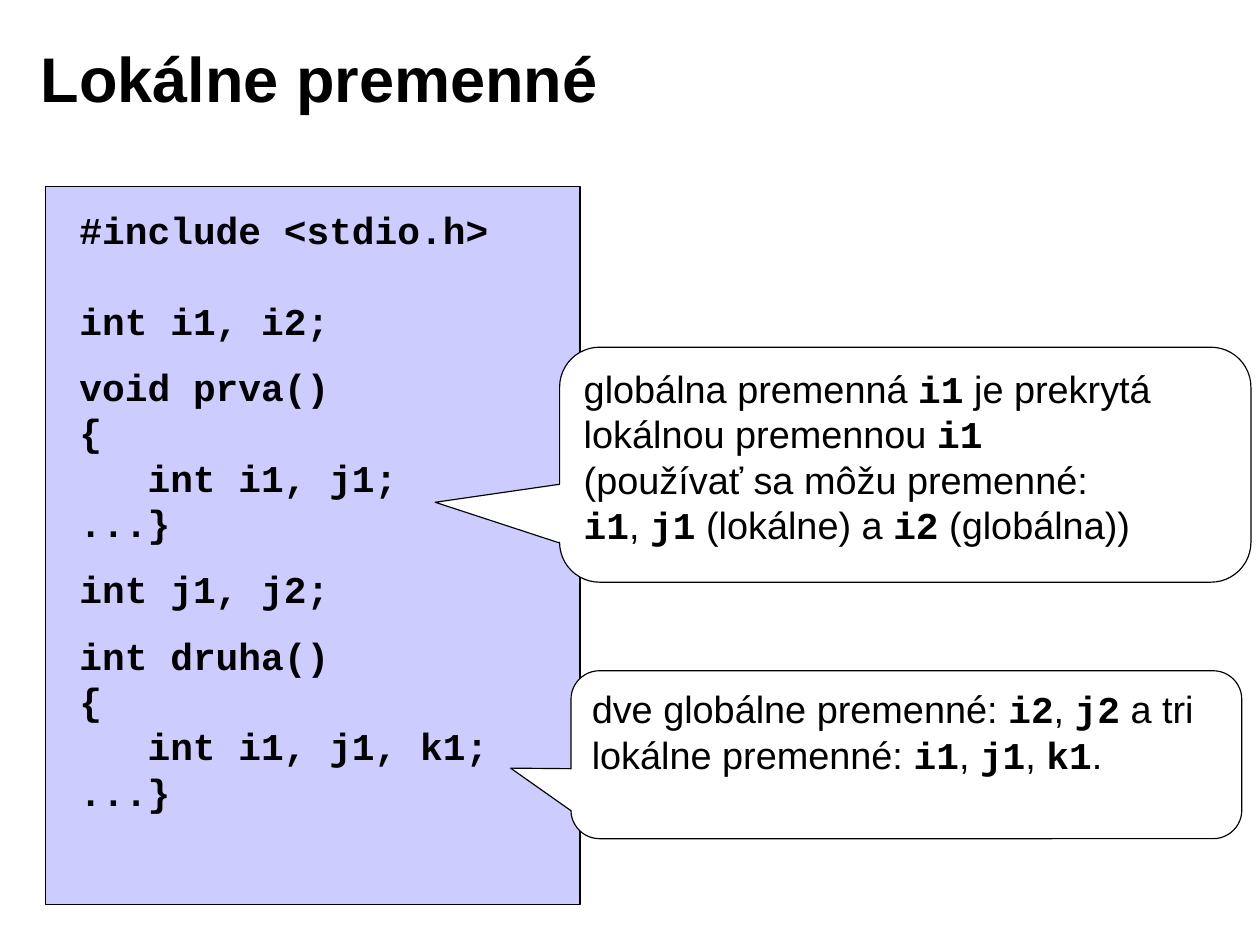
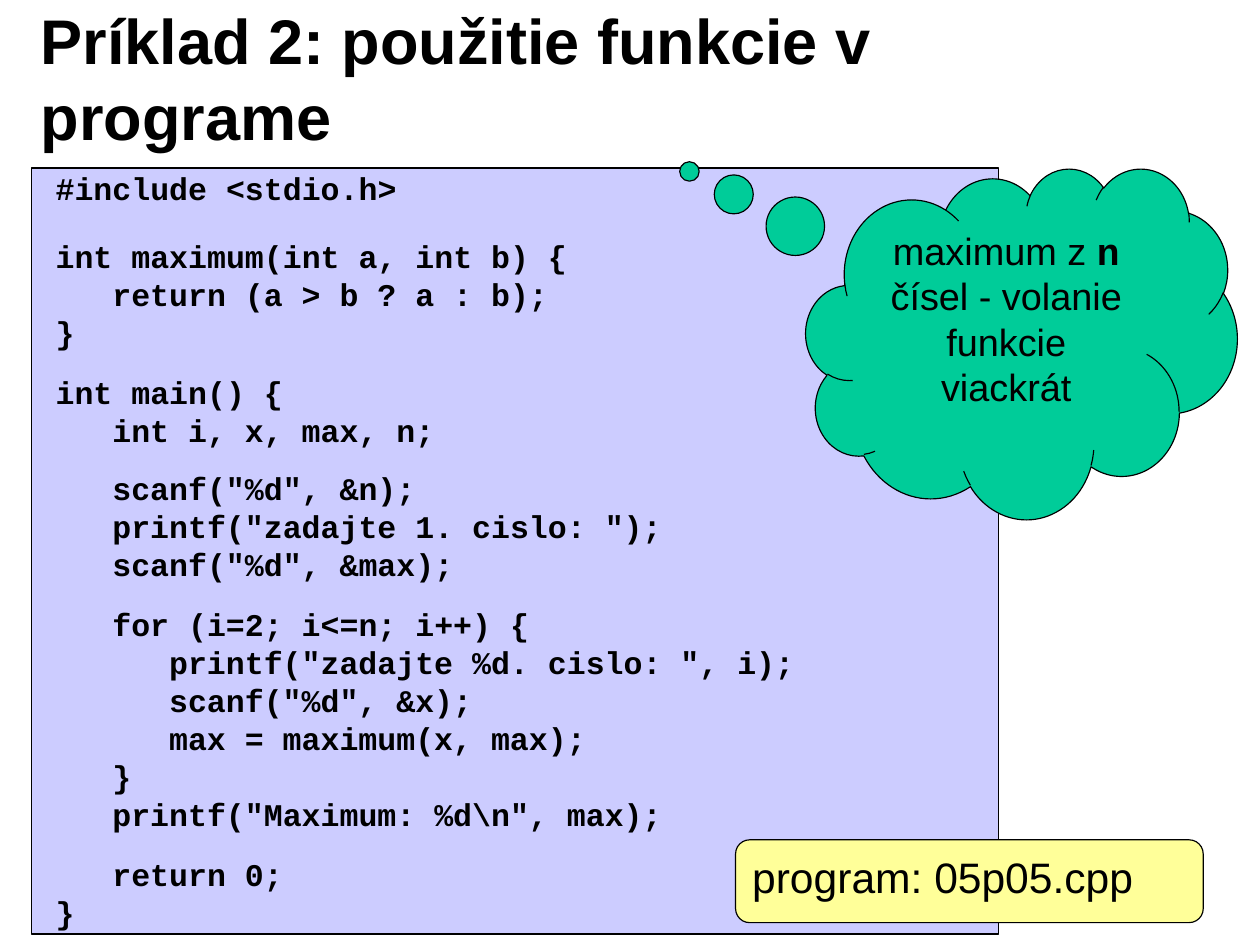
"""Build two slides on local variables and functions in C."""
from dataclasses import dataclass

from pptx import Presentation
from pptx.dml.color import RGBColor
from pptx.enum.shapes import MSO_SHAPE as Shape
from pptx.enum.text import MSO_ANCHOR as Anchor, MSO_AUTO_SIZE as AutoSize, PP_ALIGN as Align
from pptx.util import Inches, Pt


@dataclass(frozen=True)
class Theme:
    text_font: str = "Arial"
    code_font: str = "Courier New"
    black: RGBColor = RGBColor(0x00, 0x00, 0x00)
    white: RGBColor = RGBColor(0xFF, 0xFF, 0xFF)
    lavender: RGBColor = RGBColor(0xCC, 0xCC, 0xFF)
    green: RGBColor = RGBColor(0x00, 0xCC, 0x99)
    yellow: RGBColor = RGBColor(0xFF, 0xFF, 0x99)
    title_size: float = 40
    note_size: float = 24
    file_size: float = 27
    outline: float = 0.75
    line_factor: float = 1.2
    tab_characters: int = 3
    character_width: float = 0.6


THEME = Theme()
TITLE_BOX = (0.25, 0.17, 8.91, 1.02)

# Code blocks are (height of the gap above in points, [(indent level, line), ...]).
# Notes mark code words with backticks.
SLIDES = [
    {
        "title": "Lokálne premenné",
        "panel": (0.4, 1.64, 4.71, 6.33),
        "code_box": (0.59, 1.76, 3.85, 5.51),
        "code_size": 24,
        "code": [
            (0, [(0, "#include <stdio.h>")]),
            (24, [(0, "int i1, i2;")]),
            (11, [(0, "void prva()"), (0, "{"), (1, "int i1, j1;"), (0, "...}")]),
            (11, [(0, "int j1, j2;")]),
            (11, [(0, "int druha()"), (0, "{"), (1, "int i1, j1, k1;"), (0, "...}")]),
        ],
        "notes": [
            {
                "kind": Shape.ROUNDED_RECTANGULAR_CALLOUT,
                "box": (4.93, 3.06, 6.09, 2.07),
                "adjustments": (-0.68, 0.16, 0.17),
                "fill": THEME.white,
                "lines": [
                    "globálna premenná `i1` je prekrytá lokálnou premennou `i1`",
                    "(používať sa môžu premenné:",
                    "`i1`, `j1` (lokálne) a `i2` (globálna))",
                ],
            },
            {
                "kind": Shape.ROUNDED_RECTANGULAR_CALLOUT,
                "box": (5.03, 5.91, 5.91, 1.48),
                "adjustments": (-0.59, 0.08, 0.17),
                "fill": THEME.white,
                "lines": ["dve globálne premenné: `i2`, `j2` a tri lokálne premenné: `i1`, `j1`, `k1`."],
            },
        ],
    },
    {
        "title": "Príklad 2: použitie funkcie v programe",
        "panel": (0.28, 1.48, 8.52, 6.75),
        "code_box": (0.38, 1.43, 6.79, 6.92),
        "code_size": 20,
        "code": [
            (0, [(0, "#include <stdio.h>")]),
            (16, [(0, "int maximum(int a, int b) {"), (1, "return (a > b ? a : b);"), (0, "}")]),
            (12, [(0, "int main() {"), (1, "int i, x, max, n;")]),
            (10.5, [
                (1, 'scanf("%d", &n);'),
                (1, 'printf("zadajte 1. cislo: ");'),
                (1, 'scanf("%d", &max);'),
            ]),
            (12, [
                (1, "for (i=2; i<=n; i++) {"),
                (2, 'printf("zadajte %d. cislo: ", i);'),
                (2, 'scanf("%d", &x);'),
                (2, "max = maximum(x, max);"),
                (1, "}"),
                (1, 'printf("Maximum: %d\\n", max);'),
            ]),
            (12, [(1, "return 0;"), (0, "}")]),
        ],
        "notes": [
            {
                "kind": Shape.CLOUD_CALLOUT,
                "box": (7.1, 1.48, 3.8, 3.09),
                "adjustments": (-0.77, -0.49),
                "fill": THEME.green,
                "align": Align.CENTER,
                "lines": ["maximum z `n `čísel - volanie funkcie viackrát"],
            },
            {
                "kind": Shape.ROUNDED_RECTANGLE,
                "box": (6.48, 7.4, 4.12, 0.73),
                "adjustments": (0.17,),
                "fill": THEME.yellow,
                "size": THEME.file_size,
                "lines": ["program: 05p05.cpp"],
            },
        ],
    },
]


def inches(box):
    return [Inches(length) for length in box]


def style_font(font, name, size, bold):
    font.name, font.size, font.bold = name, Pt(size), bold
    font.color.rgb = THEME.black


def prepare_frame(frame, anchor=Anchor.TOP):
    frame.auto_size = AutoSize.NONE
    frame.word_wrap = True
    frame.vertical_anchor = anchor
    frame.margin_left = frame.margin_right = Inches(0.11)
    frame.margin_top = frame.margin_bottom = Inches(0.06)


def add_paragraph(frame, is_first, size, align=Align.LEFT):
    paragraph = frame.paragraphs[0] if is_first else frame.add_paragraph()
    paragraph.alignment = align
    paragraph.line_spacing = Pt(size * THEME.line_factor)
    return paragraph


def add_title(slide, text):
    title = slide.shapes.title
    title.left, title.top, title.width, title.height = inches(TITLE_BOX)
    prepare_frame(title.text_frame, Anchor.MIDDLE)
    paragraph = add_paragraph(title.text_frame, True, THEME.title_size)
    paragraph.text = text
    style_font(paragraph.font, THEME.text_font, THEME.title_size, True)


def add_outlined(slide, kind, box, fill, adjustments=()):
    shape = slide.shapes.add_shape(kind, *inches(box))
    shape.shadow.inherit = False
    shape.fill.solid()
    shape.fill.fore_color.rgb = fill
    shape.line.color.rgb = THEME.black
    shape.line.width = Pt(THEME.outline)
    for index, value in enumerate(adjustments):
        shape.adjustments[index] = value
    return shape


def add_code(slide, box, size, blocks):
    frame = slide.shapes.add_textbox(*inches(box)).text_frame
    prepare_frame(frame)
    indent = Pt(THEME.tab_characters * THEME.character_width * size)
    for block_index, (gap, lines) in enumerate(blocks):
        for line_index, (level, line) in enumerate(lines):
            paragraph = add_paragraph(frame, block_index == line_index == 0, size)
            paragraph.text = line
            paragraph.space_before = Pt(0 if line_index else gap * THEME.line_factor)
            paragraph._p.get_or_add_pPr().set("marL", str(level * indent))
            style_font(paragraph.font, THEME.code_font, size, True)


def add_note(slide, kind, box, fill, adjustments, lines, size=THEME.note_size, align=Align.LEFT):
    frame = add_outlined(slide, kind, box, fill, adjustments).text_frame
    prepare_frame(frame)
    for line_index, line in enumerate(lines):
        paragraph = add_paragraph(frame, line_index == 0, size, align)
        for part_index, part in enumerate(line.split("`")):
            if part:
                is_code = part_index % 2 == 1
                run = paragraph.add_run()
                run.text = part
                style_font(run.font, THEME.code_font if is_code else THEME.text_font, size, is_code)


def main():
    presentation = Presentation()
    presentation.slide_width, presentation.slide_height = Inches(11.1), Inches(8.3)
    for content in SLIDES:
        slide = presentation.slides.add_slide(presentation.slide_layouts[5])
        add_title(slide, content["title"])
        add_outlined(slide, Shape.RECTANGLE, content["panel"], THEME.lavender)
        add_code(slide, content["code_box"], content["code_size"], content["code"])
        for note in content["notes"]:
            add_note(slide, **note)
    presentation.save("out.pptx")


if __name__ == "__main__":
    main()
